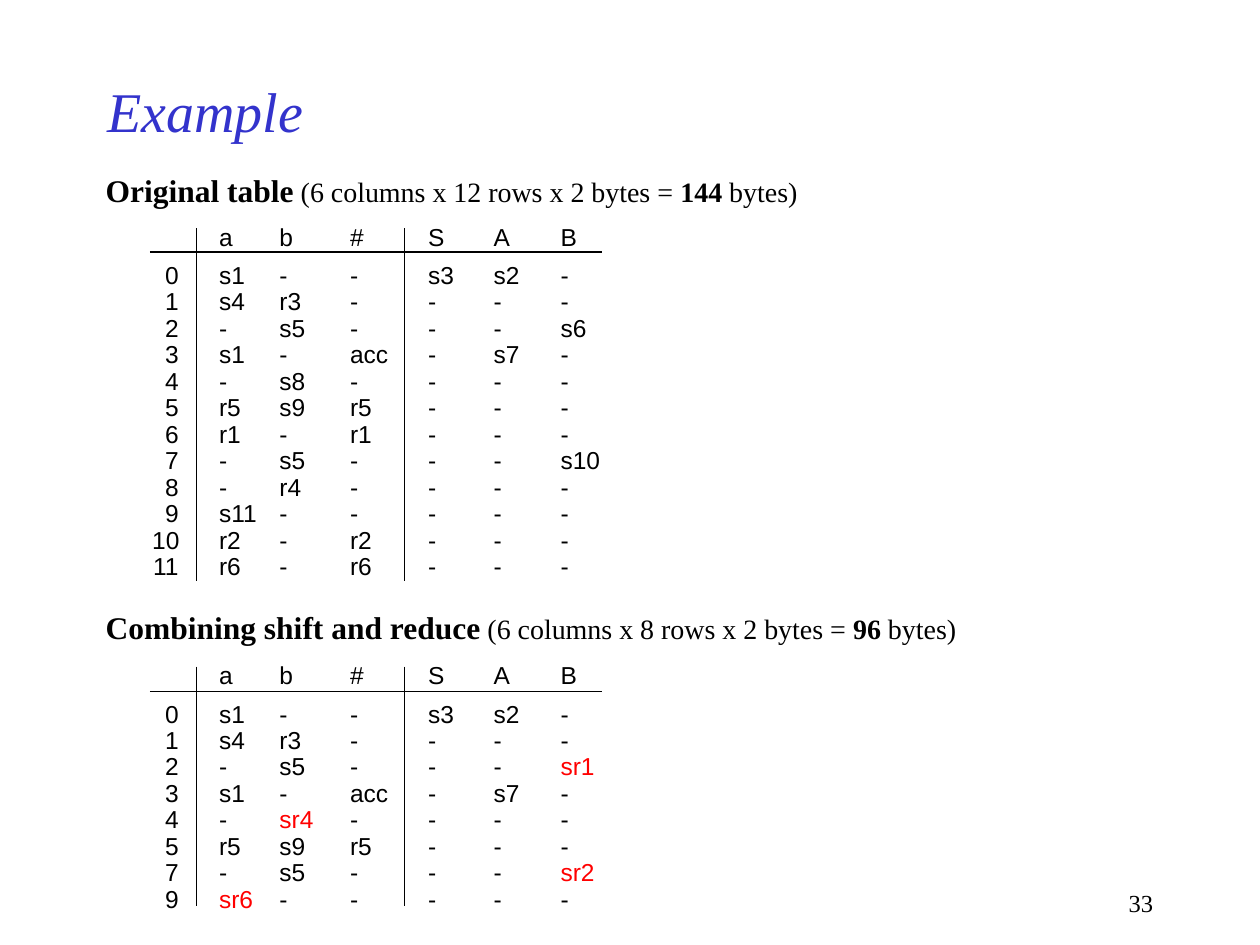
from itertools import groupby

from lxml.etree import SubElement
from pptx import Presentation
from pptx.dml.color import RGBColor
from pptx.enum.shapes import MSO_CONNECTOR
from pptx.enum.text import MSO_ANCHOR, MSO_AUTO_SIZE, PP_ALIGN
from pptx.oxml.ns import qn
from pptx.util import Inches, Pt

BLACK = RGBColor(0x00, 0x00, 0x00)
RED = RGBColor(0xFF, 0x00, 0x00)
BLUE = RGBColor(0x33, 0x33, 0xCC)
SERIF = "Times New Roman"
SANS = "Arial"

COLUMN_STOPS = [(0.21, "r"), (0.53, "l"), (1.01, "l"), (1.57, "l"),
                (2.19, "l"), (2.71, "l"), (3.24, "l")]
ROWS_WIDTH = 3.85  # leaves room for the widest entry of the last column
RULE_LEFT, RULE_RIGHT = 1.19, 4.78
DIVIDERS = (1.56, 3.21)  # after the state numbers, after the action columns

HEADER = ["", "a", "b", "#", "S", "A", "B"]
ORIGINAL_ROWS = """\
0 s1 - - s3 s2 -
1 s4 r3 - - - -
2 - s5 - - - s6
3 s1 - acc - s7 -
4 - s8 - - - -
5 r5 s9 r5 - - -
6 r1 - r1 - - -
7 - s5 - - - s10
8 - r4 - - - -
9 s11 - - - - -
10 r2 - r2 - - -
11 r6 - r6 - - -"""
COMBINED_ROWS = """\
0 s1 - - s3 s2 -
1 s4 r3 - - - -
2 - s5 - - - sr1
3 s1 - acc - s7 -
4 - sr4 - - - -
5 r5 s9 r5 - - -
7 - s5 - - - sr2
9 sr6 - - - - -"""

# heading, formula, byte count, heading top and width, rows, rows top and height,
# top of the dividers, header rule, bottom of the dividers
SECTIONS = [
    ("Original table", " (6 columns x 12 rows x 2 bytes = ", "144", 1.31, 5.69,
     ORIGINAL_ROWS, 1.71, 2.96, 1.81, 2.0, 4.61),
    ("Combining shift and reduce", " (6 columns x 8 rows x 2 bytes = ", "96", 4.78, 6.95,
     COMBINED_ROWS, 5.19, 2.11, 5.29, 5.49, 7.19),
]


def add_run(paragraph, text, font, size, color=BLACK, bold=False, italic=False):
    run = paragraph.add_run()
    run.text = text
    run.font.name = font
    run.font.size = Pt(size)
    run.font.color.rgb = color
    run.font.bold = bold
    run.font.italic = italic


def add_rule(shapes, x1, y1, x2, y2):
    """Draw a thin black table line without a shadow."""
    rule = shapes.add_connector(MSO_CONNECTOR.STRAIGHT, Inches(x1), Inches(y1),
                                Inches(x2), Inches(y2))
    rule.line.color.rgb = BLACK
    rule.line.width = Pt(0.75)
    SubElement(rule._element.spPr, qn("a:effectLst"))


prs = Presentation()
prs.slide_width, prs.slide_height = Inches(10), Inches(7.5)
slide = prs.slides.add_slide(prs.slide_layouts[5])
shapes = slide.shapes

title = shapes.title
title.left, title.top = Inches(0.75), Inches(0.5)
title.width, title.height = Inches(7.5), Inches(0.75)
title.text_frame.auto_size = MSO_AUTO_SIZE.NONE
title.text_frame.vertical_anchor = MSO_ANCHOR.MIDDLE
title_line = title.text_frame.paragraphs[0]
title_line.alignment = PP_ALIGN.LEFT
add_run(title_line, "Example", SERIF, 32, BLUE, italic=True)

for (name, formula, byte_count, heading_top, heading_width, rows, rows_top,
     rows_height, divider_top, rule_y, divider_bottom) in SECTIONS:
    heading = shapes.add_textbox(Inches(0.74), Inches(heading_top),
                                 Inches(heading_width), Inches(0.4)).text_frame
    heading.word_wrap = False
    heading.auto_size = MSO_AUTO_SIZE.SHAPE_TO_FIT_TEXT
    heading_line = heading.paragraphs[0]
    add_run(heading_line, name, SERIF, 18, bold=True)
    add_run(heading_line, formula, SERIF, 16)
    add_run(heading_line, byte_count, SERIF, 16, bold=True)
    add_run(heading_line, " bytes)", SERIF, 16)

    parse_table = shapes.add_textbox(Inches(1.11), Inches(rows_top),
                                     Inches(ROWS_WIDTH), Inches(rows_height)).text_frame
    parse_table.word_wrap = True
    parse_table.auto_size = MSO_AUTO_SIZE.NONE
    states = [row.split() for row in rows.splitlines()]
    for index, cells in enumerate([HEADER] + states):
        line = parse_table.paragraphs[0] if index == 0 else parse_table.add_paragraph()
        if index == 1:
            line.space_before = Pt(5.2)
        elif index > 1:
            line.line_spacing = 0.9
        stops = SubElement(line._p.get_or_add_pPr(), qn("a:tabLst"))
        for position, alignment in COLUMN_STOPS:
            SubElement(stops, qn("a:tab"), pos=str(Inches(position)), algn=alignment)
        # Combined shift-reduce actions stand out in red
        for combined, group in groupby(cells, lambda cell: cell.startswith("sr")):
            text = "".join("\t" + cell for cell in group)
            add_run(line, text, SANS, 14, RED if combined else BLACK)

    add_rule(shapes, RULE_LEFT, rule_y, RULE_RIGHT, rule_y)
    for x in DIVIDERS:
        add_rule(shapes, x, divider_top, x, divider_bottom)

page_number = shapes.add_textbox(Inches(7.17), Inches(7), Inches(2.08), Inches(0.33)).text_frame
page_number.word_wrap = True
page_line = page_number.paragraphs[0]
page_line.alignment = PP_ALIGN.RIGHT
add_run(page_line, "33", SERIF, 14)

prs.save("out.pptx")
